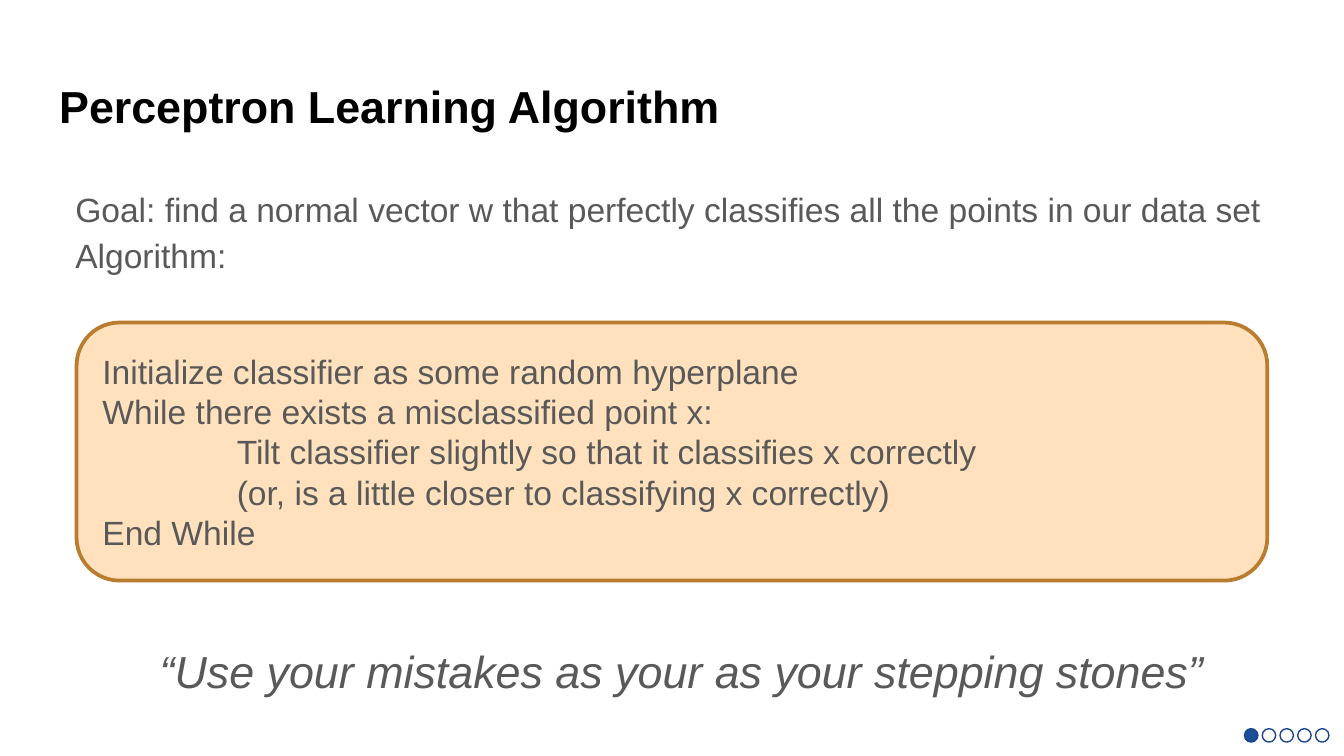
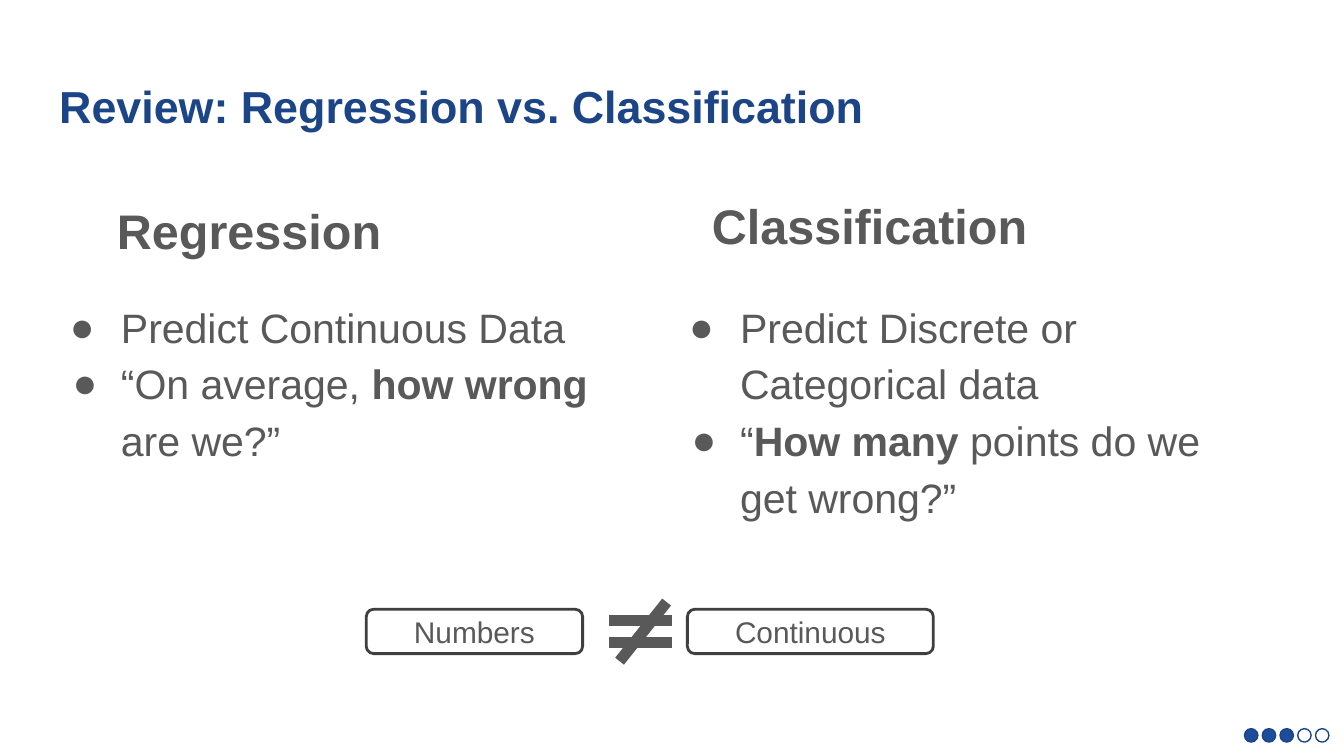
"""Build two lecture slides on the perceptron and on regression versus classification."""
from dataclasses import dataclass

from lxml import etree
from pptx import Presentation
from pptx import util as u
from pptx.dml.color import RGBColor
from pptx.enum import shapes, text
from pptx.oxml.ns import qn


@dataclass(frozen=True)
class Theme:
    """Colours, type sizes and line spacing shared by the slides."""
    font: str = "Arial"
    black: str = "000000"
    navy: str = "1C4587"
    ink: str = "595959"
    dot_fill: str = "1C4D99"
    dot_line: str = "1A4587"
    panel_fill: str = "FFAB40"
    panel_line: str = "BA7C2E"
    label_line: str = "3F3F3F"
    title: int = 24
    heading: int = 26
    bullet: int = 22
    plain: int = 18
    label: int = 16
    leading: float = 1.15


THEME = Theme()
COLUMNS, ROWS, CELL = 100, 56.25, 0.1
TITLE_AT = (3.4, 4.87, 93.2, 6.3)
DOTS, DOT_LEFT, DOT_TOP, DOT_SIZE, DOT_STEP = 5, 92.6, 54.22, 1, 1.32

PERCEPTRON = {
    "title": "Perceptron Learning Algorithm",
    "body": [
        "Goal: find a normal vector w that perfectly classifies all the points in our data set",
        "Algorithm:",
    ],
    "steps": [
        (0, "Initialize classifier as some random hyperplane"),
        (0, "While there exists a misclassified point x:"),
        (1, "Tilt classifier slightly so that it classifies x correctly"),
        (1, "(or, is a little closer to classifying x correctly)"),
        (0, "End While"),
    ],
    "quote": "“Use your mistakes as your as your stepping stones”",
}
REVIEW = {
    "title": "Review: Regression vs. Classification",
    "columns": [
        {"heading": "Regression", "heading_at": (5.2, 13.3, 41.8, 7.7), "left": 3.4,
         "points": ["Predict Continuous Data", "“On average, *how wrong* are we?”"]},
        {"heading": "Classification", "heading_at": (49.47, 12.93, 41.8, 7.7), "left": 49.47,
         "points": ["Predict Discrete or Categorical data",
                    "“*How many* points do we get wrong?”"]},
    ],
    "labels": [("Numbers", 27.25, 16.1), ("Continuous", 51.15, 18.3)],
    "unequal": [(45.3, 46.2, 50, 46.2), (45.3, 47.8, 50, 47.8), (46.1, 49.2, 49.6, 44.8)],
}


def grid(cells):
    """Turn a number of grid cells into a length."""
    return u.Inches(cells * CELL)


def apply(target, values):
    """Set each attribute named in values on target."""
    for name, value in values.items():
        setattr(target, name, value)


def place(box, at):
    """Move and size a box on the grid."""
    apply(box, dict(zip(("left", "top", "width", "height"), map(grid, at))))


def paint(part, color):
    """Give a fill a solid colour."""
    part.solid()
    part.fore_color.rgb = RGBColor.from_string(color)


def set_opacity(shape, percent):
    """Make the solid fill of a shape partly transparent, but not its line."""
    tint = shape._element.spPr.find(qn("a:solidFill")).find(qn("a:srgbClr"))
    etree.SubElement(tint, qn("a:alpha"), val=str(percent * 1000))


def outline(shape, color, width):
    """Draw the line of a shape or connector."""
    paint(shape.line.fill, color)
    shape.line.width = u.Pt(width)


def set_bullet(para, indent, hanging, bulleted):
    """Set the indents and the bullet of a paragraph."""
    props = para._p.get_or_add_pPr()
    props.set("marL", str(u.Inches(indent)))
    props.set("indent", str(-u.Inches(hanging)))
    if bulleted:
        color = etree.SubElement(props, qn("a:buClr"))
        etree.SubElement(color, qn("a:srgbClr"), val=THEME.ink)
        etree.SubElement(props, qn("a:buFont"), typeface=THEME.font)
        etree.SubElement(props, qn("a:buChar"), char="●")
    else:
        etree.SubElement(props, qn("a:buNone"))


def write(box, lines, size, color=THEME.ink, bold=False, italic=False, leading=1.0,
          indents=None, hangings=None, bulleted=False, inset=1,
          anchor=text.MSO_ANCHOR.TOP, align=text.PP_ALIGN.LEFT):
    """Fill a box with paragraphs, where asterisks enclose bold words."""
    frame = box.text_frame
    apply(frame, {
        "word_wrap": True, "auto_size": text.MSO_AUTO_SIZE.NONE, "vertical_anchor": anchor,
        "margin_left": grid(1), "margin_right": grid(1),
        "margin_top": grid(inset), "margin_bottom": grid(inset),
    })
    for index, line in enumerate(lines):
        para = frame.add_paragraph() if index else frame.paragraphs[0]
        apply(para, {"alignment": align, "line_spacing": leading,
                     "space_before": u.Pt(0), "space_after": u.Pt(0)})
        set_bullet(para, indents[index] if indents else 0,
                   hangings[index] if hangings else 0, bulleted)
        for order, words in enumerate(line.split("*")):
            span = para.add_run()
            span.text = words
            apply(span.font, {"name": THEME.font, "size": u.Pt(size),
                              "bold": bold or order % 2 == 1, "italic": italic})
            span.font.color.rgb = RGBColor.from_string(color)


def add_preset(page, kind, at, color, width):
    """Add an unfilled, shadowless preset shape."""
    shape = page.shapes.add_shape(kind, *map(grid, at))
    shape.shadow.inherit = False
    shape.fill.background()
    outline(shape, color, width)
    return shape


def add_page(deck, layout, title, color, progress):
    """Add a slide with its title and its progress dots."""
    page = deck.slides.add_slide(deck.slide_layouts[layout])
    place(page.shapes.title, TITLE_AT)
    write(page.shapes.title, [title], THEME.title, color, bold=True)
    for index in range(DOTS):
        at = (DOT_LEFT + index * DOT_STEP, DOT_TOP, DOT_SIZE, DOT_SIZE)
        dot = add_preset(page, shapes.MSO_SHAPE.OVAL, at, THEME.dot_line, 0.75)
        if index < progress:
            paint(dot.fill, THEME.dot_fill)
    return page


def build_perceptron(deck):
    """Build the slide with the learning algorithm."""
    page = add_page(deck, 1, PERCEPTRON["title"], THEME.black, progress=1)
    body = page.placeholders[1]
    place(body, (3.4, 12.6, 93.2, 37.4))
    write(body, PERCEPTRON["body"], THEME.plain, leading=THEME.leading, indents=(0.12, 0.12))

    panel = add_preset(page, shapes.MSO_SHAPE.ROUNDED_RECTANGLE, (5.7, 24, 88.6, 19.2),
                       THEME.panel_line, 2)
    paint(panel.fill, THEME.panel_fill)
    set_opacity(panel, 34)
    levels, steps = zip(*PERCEPTRON["steps"])
    write(panel, steps, THEME.plain, indents=levels, inset=0.5,
          anchor=text.MSO_ANCHOR.MIDDLE)

    quote = page.shapes.add_textbox(*map(grid, (10.9, 47.43, 83.4, 5)))
    write(quote, [PERCEPTRON["quote"]], THEME.title, italic=True, inset=0.5)


def build_review(deck):
    """Build the slide comparing regression and classification."""
    page = add_page(deck, 4, REVIEW["title"], THEME.navy, progress=3)
    for index, column in enumerate(REVIEW["columns"]):
        heading, points = (page.placeholders[2 * index + step] for step in (1, 2))
        place(heading, column["heading_at"])
        write(heading, [column["heading"]], THEME.heading, bold=True,
              leading=THEME.leading, indents=[0.25])
        place(points, (column["left"], 20.94, 41.8, 27.5))
        write(points, column["points"], THEME.bullet, leading=THEME.leading,
              indents=(0.46, 0.46), hangings=(0.38, 0.36), bulleted=True)

    for words, left, width in REVIEW["labels"]:
        label = add_preset(page, shapes.MSO_SHAPE.ROUNDED_RECTANGLE, (left, 45.34, width, 3.3),
                           THEME.label_line, 1.5)
        write(label, [words], THEME.label, anchor=text.MSO_ANCHOR.MIDDLE,
              align=text.PP_ALIGN.CENTER)

    unequal = page.shapes.add_group_shape()
    for ends in REVIEW["unequal"]:
        stroke = unequal.shapes.add_connector(shapes.MSO_CONNECTOR.STRAIGHT, *map(grid, ends))
        outline(stroke, THEME.ink, 6)
        etree.SubElement(stroke._element.spPr, qn("a:effectLst"))


def main():
    """Build and save the deck."""
    deck = Presentation()
    apply(deck, {"slide_width": grid(COLUMNS), "slide_height": grid(ROWS)})
    build_perceptron(deck)
    build_review(deck)
    deck.save("out.pptx")


if __name__ == "__main__":
    main()
